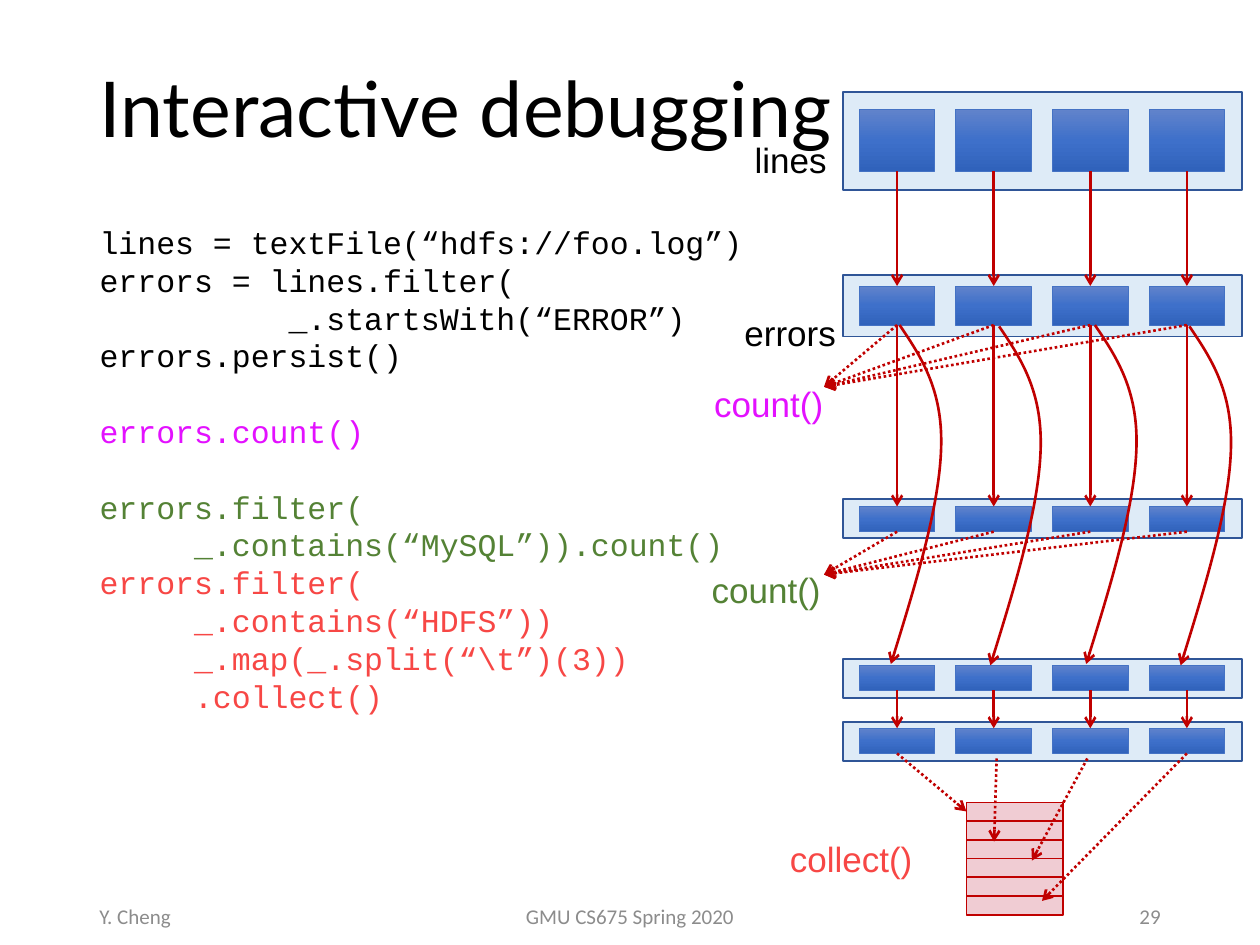
from copy import deepcopy
from dataclasses import dataclass
from typing import Any, NamedTuple

from lxml.etree import SubElement
from pptx import Presentation
from pptx.dml.color import RGBColor
from pptx.enum.dml import MSO_LINE
from pptx.enum.shapes import MSO_CONNECTOR, MSO_SHAPE
from pptx.enum.text import MSO_ANCHOR, MSO_AUTO_SIZE, PP_ALIGN
from pptx.oxml.ns import qn
from pptx.util import Inches, Pt


@dataclass(frozen=True)
class Theme:
    """Colours, fonts and type sizes of the slide."""
    ink: str = "000000"
    muted: str = "8C8C8C"
    magenta: str = "E311FF"
    green: str = "548235"
    coral: str = "F74745"
    arrow: str = "C00000"
    panel: str = "DEEBF7"
    panel_edge: str = "2F5597"
    block_edge: str = "4472C4"
    result: str = "F0CCD3"
    gradient: tuple = ((0, "6183CB"), (0.5, "3E70CA"), (1, "3062BB"))
    title_font: str = "Lato"
    code_font: str = "Courier New"
    label_font: str = "Arial"
    footer_font: str = "Calibri"
    title_size: int = 44
    code_size: int = 18
    label_size: int = 20
    footer_size: int = 12


class Point(NamedTuple):
    """A position in inches."""
    x: float
    y: float


class Area(NamedTuple):
    """A rectangle in inches."""
    left: float
    top: float
    width: float
    height: float


@dataclass(frozen=True)
class Partition:
    """One dataset row: its panel and the blocks within it."""
    panel_top: float
    panel_height: float
    block_top: float
    block_height: float

    @property
    def block_bottom(self) -> float:
        """Return the lower edge of the blocks."""
        return self.block_top + self.block_height


@dataclass(frozen=True)
class Label:
    """A line of text with its place and look."""
    text: str
    area: Area
    color: str
    align: Any = PP_ALIGN.LEFT


@dataclass(frozen=True)
class CodeLine:
    """A line of code, with the gap in points above it."""
    text: str
    color: str
    gap: float = 0


THEME = Theme()
CENTERS = [7.12 + 2.3 * column / 3 for column in range(4)]
BLOCK_WIDTH = 0.6
SECTION_GAP = 21.6

LINES, ERRORS, MATCHES, FILTERED, MAPPED = PARTITIONS = [
    Partition(0.73, 0.78, 0.87, 0.49),
    Partition(2.18, 0.49, 2.27, 0.31),
    Partition(3.96, 0.31, 4.02, 0.2),
    Partition(5.23, 0.31, 5.28, 0.2),
    Partition(5.73, 0.31, 5.78, 0.2),
]
CODE = [
    CodeLine("lines = textFile(“hdfs://foo.log”)", THEME.ink),
    CodeLine("errors = lines.filter(", THEME.ink),
    CodeLine("\t\t_.startsWith(“ERROR”)", THEME.ink),
    CodeLine("errors.persist()", THEME.ink),
    CodeLine("errors.count()", THEME.magenta, SECTION_GAP),
    CodeLine("errors.filter(", THEME.green, SECTION_GAP),
    CodeLine("\t_.contains(“MySQL”)).count()", THEME.green),
    CodeLine("errors.filter(", THEME.coral),
    CodeLine("\t_.contains(“HDFS”))", THEME.coral),
    CodeLine("\t_.map(_.split(“\\t”)(3))", THEME.coral),
    CodeLine("\t.collect()", THEME.coral),
]
LABELS = [
    Label("lines", Area(5.89, 1.05, 0.78, 0.44), THEME.ink),
    Label("errors", Area(5.81, 2.42, 0.93, 0.44), THEME.ink),
    Label("count()", Area(5.57, 2.99, 1.07, 0.44), THEME.magenta),
    Label("count()", Area(5.55, 4.46, 1.07, 0.44), THEME.green),
    Label("collect()", Area(6.17, 6.6, 1.18, 0.44), THEME.coral),
]
FOOTERS = [
    Label("Y. Cheng", Area(0.69, 7.07, 2.25, 0.4), THEME.muted),
    Label("GMU CS675 Spring 2020", Area(3.31, 7.07, 3.38, 0.4), THEME.muted, PP_ALIGN.CENTER),
    Label("29", Area(7.06, 7.07, 2.25, 0.4), THEME.muted, PP_ALIGN.RIGHT),
]
COLLECT_ARROWS = [
    (Point(7.12, 5.98), Point(7.67, 6.44)),
    (Point(7.91, 6.02), Point(7.89, 6.68)),
    (Point(8.63, 6.02), Point(8.19, 6.83)),
    (Point(9.42, 5.98), Point(8.27, 7.15)),
]
CURVE = [Point(7.14, 2.58), Point(7.31, 2.83), Point(7.48, 3.09), Point(7.47, 3.54),
         Point(7.46, 3.99), Point(7.27, 4.63), Point(7.07, 5.27)]
CURVE_SHIFTS = [Point(0, 0), Point(0.79, 0.01), Point(1.55, 0), Point(2.3, 0.01)]


def apply_format(target: Any, values: dict) -> None:
    """Set every attribute named in values."""
    for name, value in values.items():
        setattr(target, name, value)


def place(area: Area) -> list:
    """Return the area as lengths."""
    return [Inches(length) for length in area]


def write(para: Any, text: str, font: str, size: int, color: str) -> None:
    """Add one formatted span to a paragraph."""
    span = para.add_run()
    span.text = text
    apply_format(span.font, {"name": font, "size": Pt(size), "bold": False})
    span.font.color.rgb = RGBColor.from_string(color)


def set_line(line: Any, color: str, width: float) -> None:
    """Colour and size an outline."""
    line.color.rgb = RGBColor.from_string(color)
    line.width = Pt(width)


def add_arrowhead(line: Any) -> None:
    """End a line with an open arrowhead."""
    SubElement(line._get_or_add_ln(), qn("a:tailEnd"), type="arrow")


def draw_box(page: Any, area: Area, fill: str, edge: str) -> None:
    """Draw a flat rectangle."""
    box = page.shapes.add_shape(MSO_SHAPE.RECTANGLE, *place(area))
    box.shadow.inherit = False
    box.fill.solid()
    box.fill.fore_color.rgb = RGBColor.from_string(fill)
    set_line(box.line, edge, 1)


def draw_block(page: Any, area: Area) -> None:
    """Draw a block with a vertical three-stop gradient."""
    block = page.shapes.add_shape(MSO_SHAPE.RECTANGLE, *place(area))
    block.shadow.inherit = False
    block.fill.gradient()
    block.fill.gradient_angle = 270
    stops = block._element.xpath(".//a:gsLst")[0]
    stops.append(deepcopy(stops[0]))
    for stop, (position, color) in zip(block.fill.gradient_stops, THEME.gradient):
        stop.position = position
        stop.color.rgb = RGBColor.from_string(color)
    set_line(block.line, THEME.block_edge, 0.5)


def draw_partition(page: Any, row: Partition) -> None:
    """Draw a panel with its four blocks."""
    draw_box(page, Area(6.69, row.panel_top, 3.17, row.panel_height), THEME.panel, THEME.panel_edge)
    for center in CENTERS:
        draw_block(page, Area(center - BLOCK_WIDTH / 2, row.block_top, BLOCK_WIDTH, row.block_height))


def draw_arrow(page: Any, start: Point, end: Point, dotted: bool = False) -> None:
    """Draw a straight arrow."""
    ends = [Inches(length) for length in (*start, *end)]
    arrow = page.shapes.add_connector(MSO_CONNECTOR.STRAIGHT, *ends)
    set_line(arrow.line, THEME.arrow, 1.5)
    if dotted:
        arrow.line.dash_style = MSO_LINE.ROUND_DOT
    add_arrowhead(arrow.line)
    SubElement(arrow._element.spPr, qn("a:effectLst"))


def draw_curve(page: Any, shift: Point) -> None:
    """Draw a curved arrow of two cubic segments, moved by shift."""
    points = [(Inches(p.x + shift.x), Inches(p.y + shift.y)) for p in CURVE]
    builder = page.shapes.build_freeform(*points[0])
    builder.add_line_segments(points[1:], close=False)
    curve = builder.convert_to_shape()
    outline = curve._element.xpath(".//a:path")[0]
    controls = outline.findall(qn("a:lnTo"))
    for first in range(0, len(controls), 3):
        cubic = SubElement(outline, qn("a:cubicBezTo"))
        for control in controls[first:first + 3]:
            cubic.append(control[0])
            outline.remove(control)
    curve.shadow.inherit = False
    curve.fill.background()
    set_line(curve.line, THEME.arrow, 1.5)
    add_arrowhead(curve.line)


def draw_label(page: Any, label: Label, font: str, size: int, frame_format: dict) -> None:
    """Draw a one-line text box."""
    box = page.shapes.add_textbox(*place(label.area))
    apply_format(box.text_frame, frame_format)
    para = box.text_frame.paragraphs[0]
    para.alignment = label.align
    write(para, label.text, font, size, label.color)


def fill_title(title: Any) -> None:
    """Place and write the title."""
    apply_format(title, dict(zip(("left", "top", "width", "height"), place(Area(0.69, 0.17, 8.62, 1.45)))))
    apply_format(title.text_frame, {"vertical_anchor": MSO_ANCHOR.MIDDLE, "auto_size": MSO_AUTO_SIZE.NONE})
    para = title.text_frame.paragraphs[0]
    apply_format(para, {"alignment": PP_ALIGN.LEFT, "line_spacing": 0.9})
    write(para, "Interactive debugging", THEME.title_font, THEME.title_size, THEME.ink)


def fill_code(body: Any) -> None:
    """Place and write the code listing."""
    apply_format(body, dict(zip(("left", "top", "width", "height"), place(Area(0.69, 1.72, 5.44, 5.24)))))
    frame = body.text_frame
    apply_format(frame, {"auto_size": MSO_AUTO_SIZE.NONE, "word_wrap": True})
    for index, line in enumerate(CODE):
        para = frame.add_paragraph() if index else frame.paragraphs[0]
        properties = para._p.get_or_add_pPr()
        apply_format(para, {"line_spacing": 1.0, "space_before": Pt(line.gap), "space_after": Pt(0)})
        for name, length in {"marL": 0, "indent": 0, "defTabSz": Inches(0.75)}.items():
            properties.set(name, str(int(length)))
        SubElement(properties, qn("a:buNone"))
        write(para, line.text, THEME.code_font, THEME.code_size, line.color)


def main() -> None:
    """Build and save the slide."""
    deck = Presentation()
    apply_format(deck, {"slide_width": Inches(10), "slide_height": Inches(7.5)})
    page = deck.slides.add_slide(deck.slide_layouts[1])
    fill_title(page.shapes.title)
    fill_code(page.placeholders[1])
    for row in PARTITIONS:
        draw_partition(page, row)
    for source, target in ((LINES, ERRORS), (ERRORS, MATCHES), (FILTERED, MAPPED)):
        for x in CENTERS:
            draw_arrow(page, Point(x, source.block_bottom), Point(x, target.block_top))
    for shift in CURVE_SHIFTS:
        draw_curve(page, shift)
    for index in range(6):
        draw_box(page, Area(7.67, 6.37 + 0.74 * index / 5, 0.77, 0.15), THEME.result, THEME.arrow)
    for source, target in ((ERRORS, Point(6.54, 3.07)), (MATCHES, Point(6.54, 4.56))):
        for x in CENTERS:
            draw_arrow(page, Point(x, source.block_bottom), target, dotted=True)
    for start, end in COLLECT_ARROWS:
        draw_arrow(page, start, end, dotted=True)
    for label in LABELS:
        draw_label(page, label, THEME.label_font, THEME.label_size,
                   {"word_wrap": False, "auto_size": MSO_AUTO_SIZE.SHAPE_TO_FIT_TEXT})
    for footer in FOOTERS:
        draw_label(page, footer, THEME.footer_font, THEME.footer_size,
                   {"word_wrap": True, "vertical_anchor": MSO_ANCHOR.MIDDLE})
    deck.save("out.pptx")


if __name__ == "__main__":
    main()
